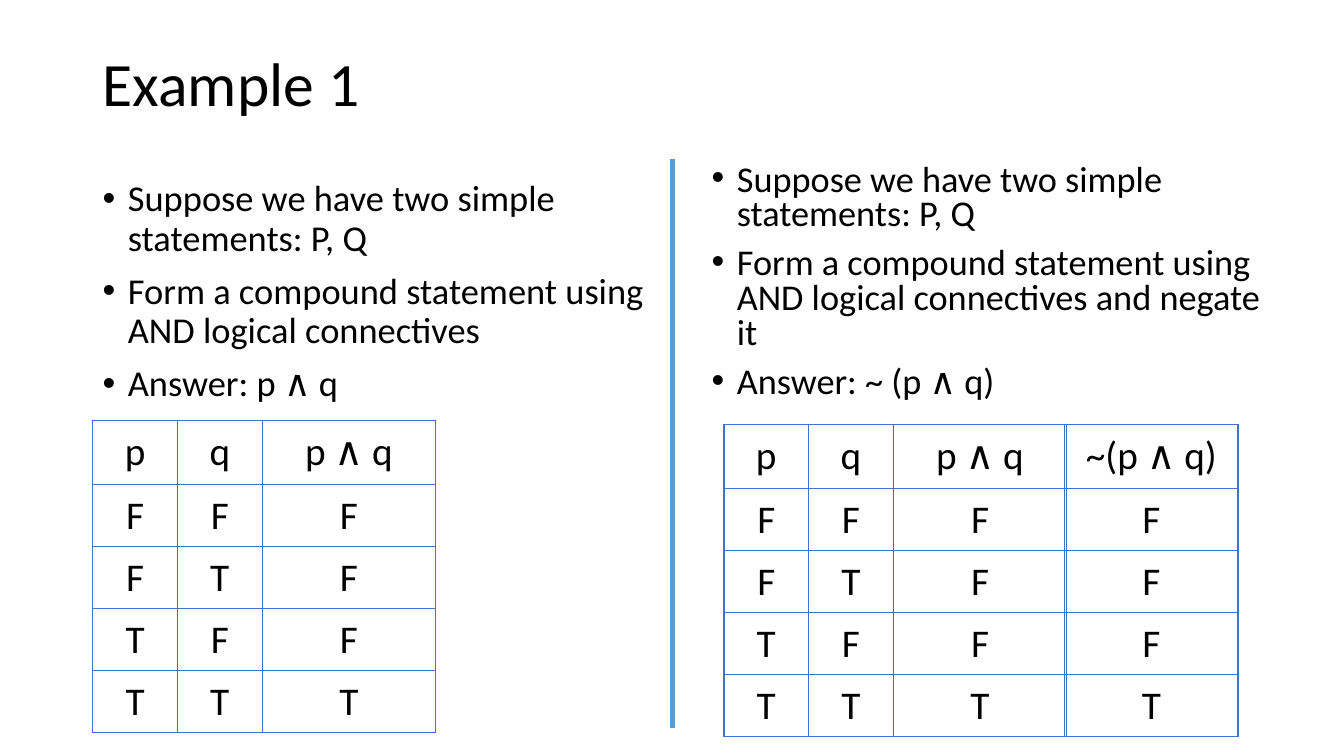
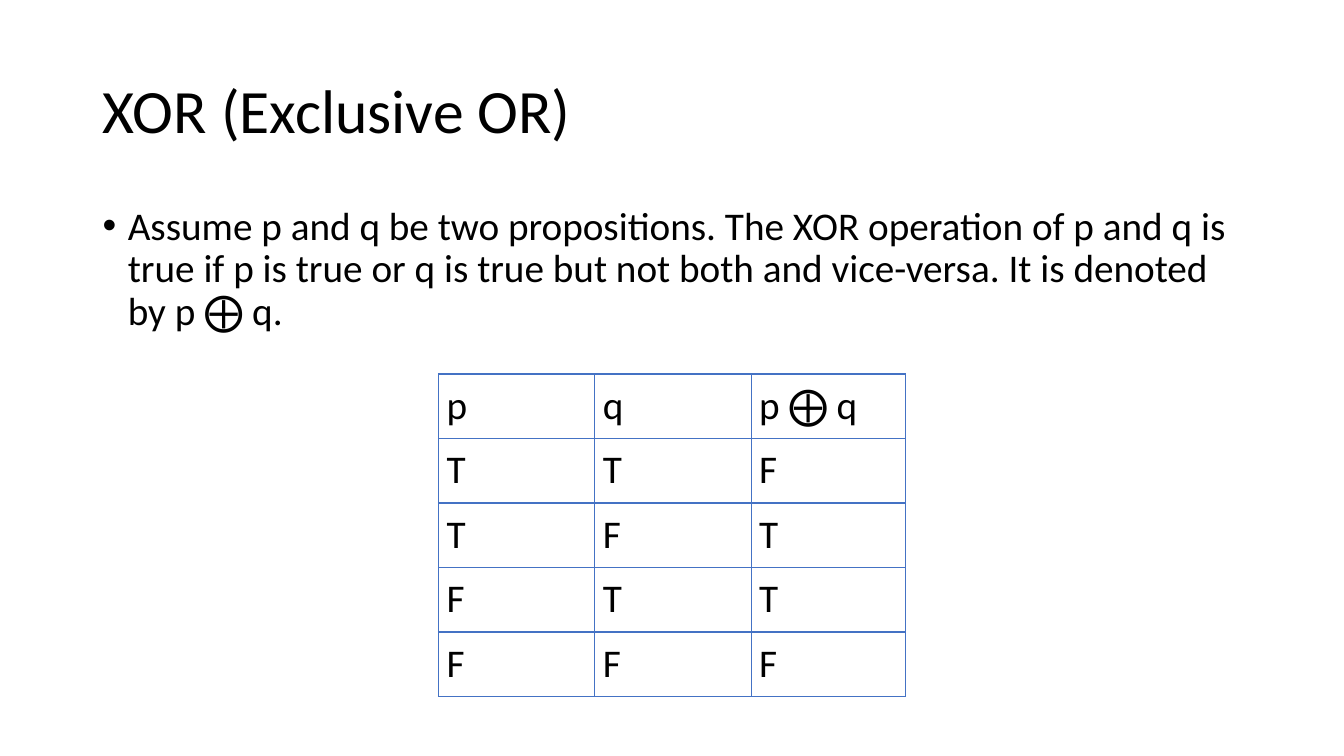
from lxml.etree import SubElement
from pptx import Presentation
from pptx.dml.color import RGBColor
from pptx.enum.shapes import MSO_CONNECTOR
from pptx.enum.text import MSO_ANCHOR, PP_ALIGN
from pptx.oxml.ns import qn
from pptx.util import Inches, Pt

BLACK = RGBColor(0x00, 0x00, 0x00)
GRID_BLUE = RGBColor(0x44, 0x72, 0xC4)
DIVIDER_BLUE = RGBColor(0x5B, 0x9B, 0xD5)

FONT = "Calibri"
MARGIN = 0.92
CONTENT_WIDTH = 11.5
HEADER_HEIGHT = 0.64
HEADER_INSET = 0.08
VALUE_HEIGHT = (3.1 - HEADER_HEIGHT) / 4
VALUE_INSET = 0.07


class Deck:
    """Holds the shared style and the slide being filled."""

    def __init__(self):
        self.presentation = Presentation()
        self.presentation.slide_width = Inches(13.33)
        self.presentation.slide_height = Inches(7.5)
        self.slide = None

    def new_slide(self, title, title_height):
        self.slide = self.presentation.slides.add_slide(
            self.presentation.slide_layouts[6])
        frame = self.text_frame(MARGIN, 0.4, CONTENT_WIDTH, title_height)
        frame.vertical_anchor = MSO_ANCHOR.MIDDLE
        heading = frame.paragraphs[0]
        heading.line_spacing = 0.9
        self.add_run(heading, title, 44)

    def text_frame(self, left, top, width, height):
        frame = self.slide.shapes.add_textbox(
            Inches(left), Inches(top), Inches(width), Inches(height)).text_frame
        frame.word_wrap = True
        return frame

    def add_run(self, paragraph, text, size):
        run = paragraph.add_run()
        run.text = text
        run.font.name = FONT
        run.font.size = Pt(size)
        run.font.color.rgb = BLACK

    def bullets(self, left, top, width, height, points, size, line_spacing=0.9):
        frame = self.text_frame(left, top, width, height)
        for number, point in enumerate(points):
            paragraph = frame.add_paragraph() if number else frame.paragraphs[0]
            paragraph.line_spacing = line_spacing
            paragraph.space_before = Pt(10)
            properties = paragraph._p.get_or_add_pPr()
            properties.set("marL", str(Inches(0.25)))
            properties.set("indent", str(-Inches(0.25)))
            SubElement(properties, qn("a:buFont"), typeface="Arial")
            SubElement(properties, qn("a:buChar"), char="•")
            self.add_run(paragraph, point, size)

    def divider(self, x, top, bottom):
        line = self.slide.shapes.add_connector(
            MSO_CONNECTOR.STRAIGHT, Inches(x), Inches(top), Inches(x), Inches(bottom))
        line.line.color.rgb = DIVIDER_BLUE
        line.line.width = Pt(3)
        SubElement(line._element.spPr, qn("a:effectLst"))

    def table(self, left, top, widths, rows, value_height=VALUE_HEIGHT,
              value_inset=VALUE_INSET, align=PP_ALIGN.CENTER):
        heights = [HEADER_HEIGHT] + [value_height] * (len(rows) - 1)
        table = self.slide.shapes.add_table(
            len(rows), len(widths), Inches(left), Inches(top),
            Inches(sum(widths)), Inches(sum(heights))).table
        table.first_row = table.horz_banding = False
        for column, width in zip(table.columns, widths):
            column.width = Inches(width)
        for r, (texts, height) in enumerate(zip(rows, heights)):
            table.rows[r].height = Inches(height)
            for c, text in enumerate(texts):
                self.fill_cell(table.cell(r, c), text, align,
                               value_inset if r else HEADER_INSET)

    def fill_cell(self, cell, text, align, inset):
        cell.margin_left = cell.margin_right = Inches(inset)
        cell.margin_top = cell.margin_bottom = Inches(inset)
        properties = cell._tc.get_or_add_tcPr()
        for side in ("lnL", "lnR", "lnT", "lnB"):
            border = SubElement(properties, qn(f"a:{side}"), w=str(Pt(1)))
            fill = SubElement(border, qn("a:solidFill"))
            SubElement(fill, qn("a:srgbClr"), val=str(GRID_BLUE))
        cell.fill.background()
        paragraph = cell.text_frame.paragraphs[0]
        paragraph.alignment = align
        self.add_run(paragraph, text, 28)

    def truth_columns(self, top, columns):
        """Draw each (left, width, heading, values) as a table of its own."""
        for left, width, heading, values in columns:
            self.table(left, top, [width], [[text] for text in (heading, *values)])


def conjunction_columns(left):
    narrow, wide = 0.84, 1.72
    return [(left, narrow, "p", "FFTT"),
            (left + narrow, narrow, "q", "FTFT"),
            (left + 2 * narrow, wide, "p ∧ q", "FFFT")]


def example_slide(deck):
    deck.new_slide("Example 1", 0.91)
    premise = "Suppose we have two simple statements: P, Q"
    task = "Form a compound statement using AND logical connectives"
    deck.bullets(MARGIN, 1.74, 5.75, 2.43, [premise, task, "Answer: p ∧ q"], 26)
    deck.truth_columns(4.17, conjunction_columns(MARGIN))
    deck.divider(6.67, 1.58, 7.22)
    deck.bullets(6.96, 1.58, 5.75, 2.58,
                 [premise, f"{task} and negate it", "Answer: ~ (p ∧ q)"],
                 25.9, line_spacing=0.8)
    negation = (10.56, 1.72, "~(p ∧ q)", "FFFT")
    deck.truth_columns(4.21, conjunction_columns(7.18) + [negation])


def xor_slide(deck):
    deck.new_slide("XOR (Exclusive OR)", 1.45)
    deck.bullets(MARGIN, 2, CONTENT_WIDTH, 1.56, [
        "Assume p and q be two propositions. The XOR operation of p and q is "
        "true if p is true or q is true but not both and vice-versa. "
        "It is denoted by p ⨁ q."], 28)
    deck.table(4.35, 3.71, [1.55, 1.55, 1.53],
               [("p", "q", "p ⨁ q"), "TTF", "TFT", "FTT", "FFF"],
               HEADER_HEIGHT, HEADER_INSET, PP_ALIGN.LEFT)


def main():
    deck = Deck()
    example_slide(deck)
    xor_slide(deck)
    deck.presentation.save("out.pptx")


if __name__ == "__main__":
    main()
